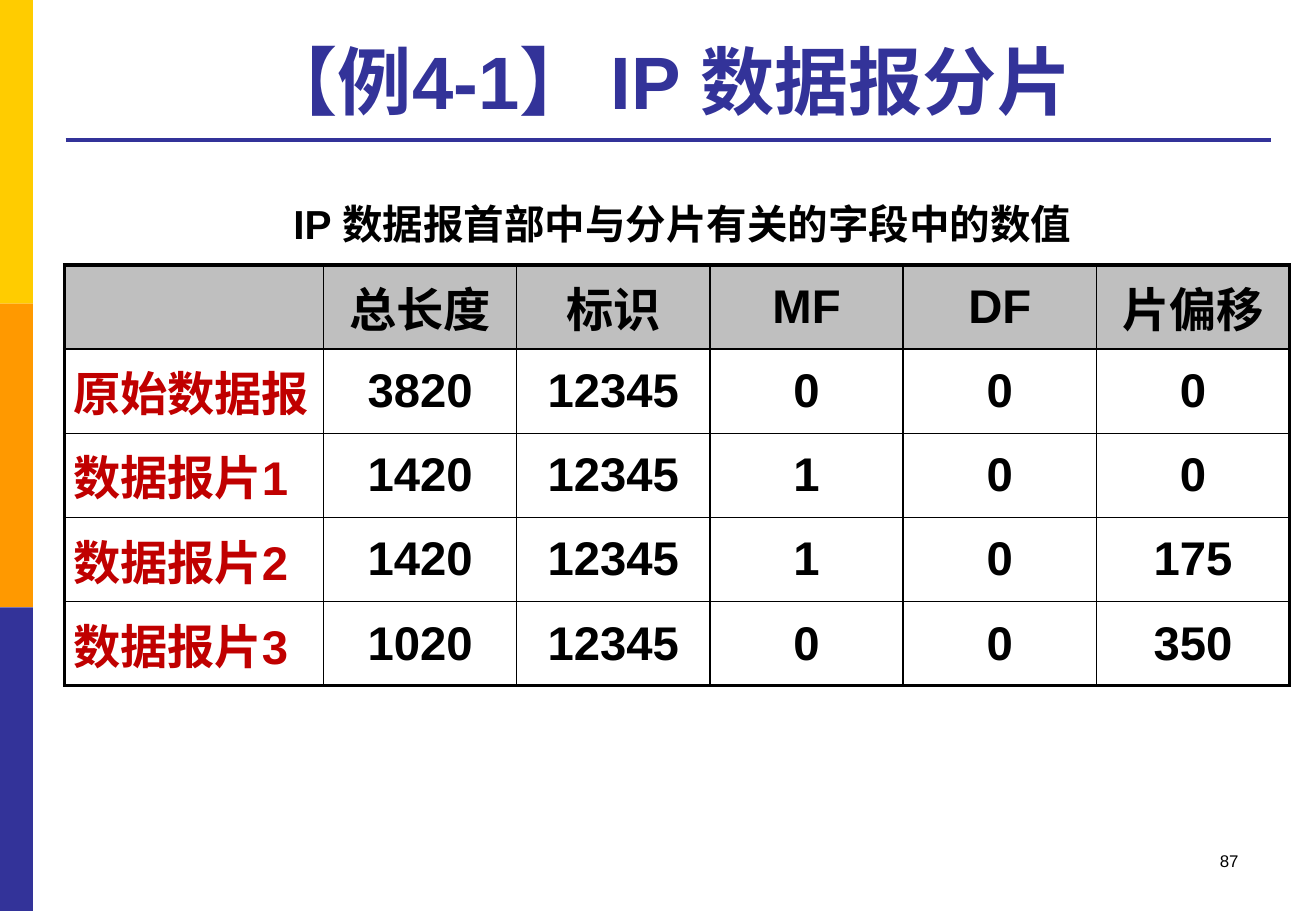
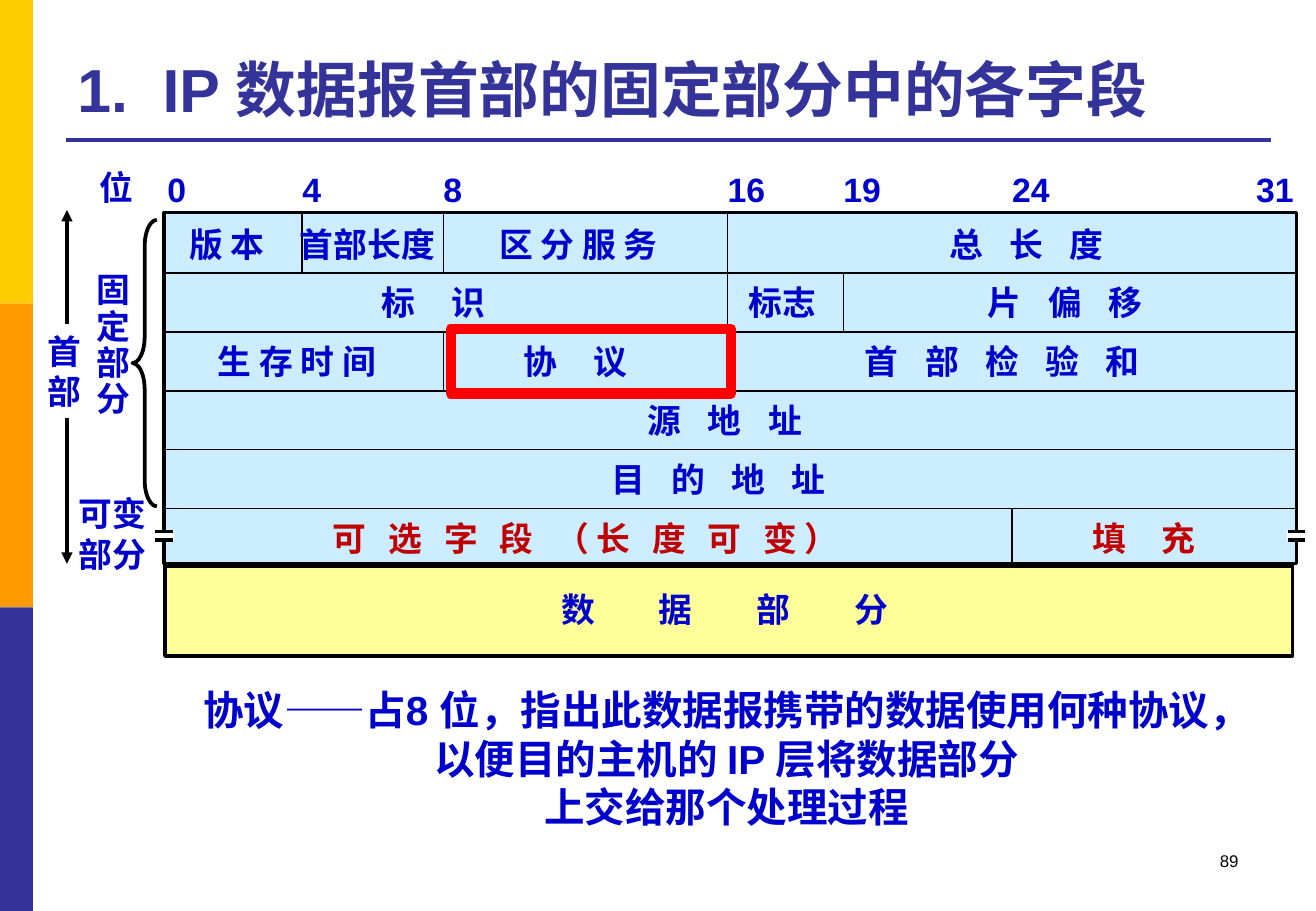
from lxml import etree
from pptx import Presentation
from pptx.dml.color import RGBColor
from pptx.enum.shapes import MSO_CONNECTOR, MSO_SHAPE
from pptx.enum.text import MSO_ANCHOR, PP_ALIGN
from pptx.oxml.ns import qn
from pptx.util import Cm, Pt

RECT, LEFT_BRACE = MSO_SHAPE.RECTANGLE, MSO_SHAPE.LEFT_BRACE
STRAIGHT = MSO_CONNECTOR.STRAIGHT
TOP, MIDDLE, BOTTOM = MSO_ANCHOR.TOP, MSO_ANCHOR.MIDDLE, MSO_ANCHOR.BOTTOM
LEFT, CENTER, RIGHT = PP_ALIGN.LEFT, PP_ALIGN.CENTER, PP_ALIGN.RIGHT

BLACK, WHITE = "000000", "FFFFFF"
INDIGO, BLUE, DARK_RED, RED = "333399", "0000CC", "C00000", "FF0000"
BAND_COLORS = ["FFCC00", "FF9900", INDIGO]
HEADER_GRAY, FIELD_BLUE, DATA_YELLOW = "BFBFBF", "CCECFF", "FFFF99"

FONT = "Arial"
SLIDE_W, SLIDE_H = 27.51, 19.05
LABEL_SIZE = 20
PADDED = (0.25, 0.13)
TIGHT = (0, 0)

# Layout of the datagram header
HEADER_LEFT, HEADER_TOP, HEADER_W, HEADER_H = 3.43, 4.45, 23.67, 7.34
ROW_H = 1.23
BIT_X = {0: 3.5, 4: 6.32, 8: 9.27, 16: 15.21, 19: 17.63, 24: 21.16, 31: 26.26}

# Bit at which a divider stands, first row, number of rows
DIVIDERS = [(4, 0, 1), (8, 0, 1), (8, 2, 1), (16, 0, 3), (19, 1, 1), (24, 5, 1)]

# Text, left edge, row, letter spacing in points, colour
FIELDS = [
    ("版 本", 3.96, 0, 0, BLUE),
    ("首部长度", 6.27, 0, 0, BLUE),
    ("区 分 服 务", 10.44, 0, 0, BLUE),
    ("总 长 度", 19.84, 0, 5.56, BLUE),
    ("标 识", 7.98, 1, 8.34, BLUE),
    ("标志", 15.65, 1, 0, BLUE),
    ("片 偏 移", 20.65, 1, 5.56, BLUE),
    ("生 存 时 间", 4.55, 2, 0, BLUE),
    ("协 议", 10.95, 2, 8.34, BLUE),
    ("首 部 检 验 和", 18.08, 2, 5.56, BLUE),
    ("源 地 址", 13.54, 3, 5.56, BLUE),
    ("目 的 地 址", 12.78, 4, 5.56, BLUE),
    ("可 选 字 段 （长 度 可 变）", 6.96, 5, 4.2, DARK_RED),
    ("填 充", 22.83, 5, 8.34, DARK_RED),
]

FRAGMENTS = [
    ["", "总长度", "标识", "MF", "DF", "片偏移"],
    ["原始数据报", "3820", "12345", "0", "0", "0"],
    ["数据报片1", "1420", "12345", "1", "0", "0"],
    ["数据报片2", "1420", "12345", "1", "0", "175"],
    ["数据报片3", "1020", "12345", "0", "0", "350"],
]


def rgb(hex_color):
    return RGBColor.from_string(hex_color)


def apply_format(target, values):
    for name, value in values.items():
        setattr(target, name, value)


def style_text(frame, size, color, bold=True, align=LEFT, line_spacing=None, spacing=0):
    for paragraph in frame.paragraphs:
        apply_format(paragraph, {"alignment": align, "line_spacing": line_spacing})
        for run in paragraph.runs:
            apply_format(run.font, {"name": FONT, "size": Pt(size), "bold": bold})
            run.font.color.rgb = rgb(color)
            if spacing:
                run._r.get_or_add_rPr().set("spc", str(round(spacing * 100)))


def add_text(slide, box, text, size=LABEL_SIZE, color=BLUE, anchor=TOP, pad=TIGHT, **style):
    frame = slide.shapes.add_textbox(*map(Cm, box)).text_frame
    side, end = map(Cm, pad)
    apply_format(frame, {
        "word_wrap": True, "vertical_anchor": anchor, "text": text,
        "margin_left": side, "margin_right": side,
        "margin_top": end, "margin_bottom": end,
    })
    style_text(frame, size, color, **style)
    return frame


def add_shape(slide, box, fill=None, line=None, weight=1, preset=RECT):
    shape = slide.shapes.add_shape(preset, *map(Cm, box))
    shape.shadow.inherit = False
    if fill:
        shape.fill.solid()
        shape.fill.fore_color.rgb = rgb(fill)
    else:
        shape.fill.background()
    if line:
        shape.line.color.rgb = rgb(line)
        shape.line.width = Pt(weight)
    else:
        shape.line.fill.background()
    return shape


def add_line(slide, start, end, color=BLACK, weight=1, arrows=False):
    connector = slide.shapes.add_connector(STRAIGHT, *map(Cm, (*start, *end)))
    connector.line.color.rgb = rgb(color)
    connector.line.width = Pt(weight)
    properties = connector.element.spPr
    if arrows:
        for tag in ("a:headEnd", "a:tailEnd"):
            etree.SubElement(properties.find(qn("a:ln")), qn(tag), type="triangle")
    etree.SubElement(properties, qn("a:effectLst"))


def add_base_slide(deck, title, number, size, align):
    """Add a slide with the side bands, title, rule and page number."""
    slide = deck.slides.add_slide(deck.slide_layouts[6])
    band_h = SLIDE_H / len(BAND_COLORS)
    for index, color in enumerate(BAND_COLORS):
        add_shape(slide, (0, index * band_h, 0.69, band_h), color)
    add_line(slide, (1.37, 2.92), (26.57, 2.92), INDIGO, 2.25)
    heading = add_text(slide, (1.37, 0.53, 25.17, 2.21), title, size, INDIGO,
                       BOTTOM, PADDED, align=align)
    add_text(slide, (19.71, 17.65, 6.43, 1.27), str(number), 10, BLACK,
             pad=PADDED, bold=False, align=RIGHT)
    return slide, heading


def set_borders(cell, weights):
    """Draw black cell borders; weights maps the sides L, R, T, B to points."""
    properties = cell._tc.get_or_add_tcPr()
    for side, weight in weights.items():
        border = etree.SubElement(properties, qn(f"a:ln{side}"), w=str(Pt(weight)))
        fill = etree.SubElement(border, qn("a:solidFill"))
        etree.SubElement(fill, qn("a:srgbClr"), val=BLACK)


def add_fragment_table(slide):
    widths, row_h = [5.41] + [4.04] * 5, 1.76
    last_row, last_column = len(FRAGMENTS) - 1, len(widths) - 1
    table = slide.shapes.add_table(
        len(FRAGMENTS), len(widths), Cm(1.35), Cm(5.54),
        Cm(sum(widths)), Cm(row_h * len(FRAGMENTS))).table
    apply_format(table, {"first_row": False, "horz_banding": False})
    for column, width in zip(table.columns, widths):
        column.width = Cm(width)
    for r, values in enumerate(FRAGMENTS):
        table.rows[r].height = Cm(row_h)
        for c, value in enumerate(values):
            cell = table.cell(r, c)
            apply_format(cell, {
                "text": value, "vertical_anchor": MIDDLE,
                "margin_left": Cm(0.18), "margin_right": Cm(0.18),
                "margin_top": 0, "margin_bottom": 0,
            })
            row_name = c == 0
            style_text(cell.text_frame, 28, DARK_RED if row_name else BLACK,
                       align=LEFT if row_name else CENTER)
            outer = {"L": c == 0, "R": c == last_column, "T": r == 0, "B": r == last_row}
            set_borders(cell, {side: 2.25 if edge else 1 for side, edge in outer.items()})
            if r == 0:
                cell.fill.solid()
                cell.fill.fore_color.rgb = rgb(HEADER_GRAY)
            else:
                cell.fill.background()


def add_field(slide, text, left, top, height, spacing, color=BLUE):
    """Add a one-line label in a box as wide as its letters need."""
    points = sum(LABEL_SIZE * (0.28 if char == " " else 1) + spacing for char in text)
    add_text(slide, (left, top, points * 2.54 / 72 + 0.2, height), text,
             color=color, anchor=MIDDLE, spacing=spacing)


def add_header_grid(slide):
    add_shape(slide, (HEADER_LEFT, HEADER_TOP, HEADER_W, HEADER_H), FIELD_BLUE, BLACK, 2)
    add_shape(slide, (3.45, 11.84, 23.57, 1.88), DATA_YELLOW, BLACK, 2.25)
    row_y = [HEADER_TOP + 0.03 + ROW_H * row for row in range(6)]
    row_y.append(HEADER_TOP + HEADER_H)
    for y in row_y[1:-1]:
        add_line(slide, (HEADER_LEFT, y), (HEADER_LEFT + HEADER_W, y))
    for bit, row, span in DIVIDERS:
        add_line(slide, (BIT_X[bit], row_y[row]), (BIT_X[bit], row_y[row + span]))
    for bit, x in BIT_X.items():
        add_text(slide, (x, 3.53, 1.2, 0.85), str(bit))
    for text, left, row, spacing, color in FIELDS:
        add_field(slide, text, left, row_y[row], ROW_H, spacing, color)
    add_field(slide, "数 据 部 分", 11.73, 11.84, 1.8, 16.7)


def add_break_mark(slide, left, top):
    """Mark a side of the header as having variable length."""
    add_shape(slide, (left, top, 0.41, 0.2), WHITE)
    for y in (top + 0.02, top + 0.2):
        add_line(slide, (left + 0.02, y), (left + 0.38, y), weight=2)


def add_part_labels(slide):
    add_text(slide, (2.08, 3.48, 1, 0.85), "位")
    add_text(slide, (2.01, 5.72, 1, 3.1), "固\n定\n部\n分", line_spacing=0.9)
    add_text(slide, (1.65, 10.31, 1.6, 1.7), "可变\n部分")
    add_line(slide, (1.4, 4.39), (1.4, 11.79), weight=2.25, arrows=True)
    add_shape(slide, (0.74, 6.78, 1.22, 1.96), WHITE)
    add_text(slide, (0.99, 6.91, 0.9, 1.7), "首\n部")
    brace = add_shape(slide, (2.77, 4.6, 0.51, 5.99), None, BLACK, 2.25, LEFT_BRACE)
    brace.adjustments[0] = 1.08


def build_fragment_slide(deck):
    slide, _ = add_base_slide(deck, "【例4-1】 IP 数据报分片", 87, 44, CENTER)
    add_text(slide, (3.76, 4.04, 21.01, 1.27), "IP 数据报首部中与分片有关的字段中的数值",
             24, BLACK, pad=PADDED, align=CENTER)
    add_fragment_table(slide)


def build_header_slide(deck):
    slide, heading = add_base_slide(
        deck, "1.\tIP 数据报首部的固定部分中的各字段", 89, 36, LEFT)
    hanging = Cm(1.78)
    paragraph_properties = heading.paragraphs[0]._p.get_or_add_pPr()
    for name, value in {"marL": hanging, "indent": -hanging}.items():
        paragraph_properties.set(name, str(value))
    add_header_grid(slide)
    for left in (3.23, 26.9):
        add_break_mark(slide, left, 11.09)
    add_part_labels(slide)
    add_text(slide, (3.71, 14.2, 22.96, 3.33),
             "协议——占8 位，指出此数据报携带的数据使用何种协议，\n"
             "以便目的主机的 IP 层将数据部分\n上交给那个处理过程",
             24, pad=PADDED, align=CENTER)
    add_shape(slide, (9.42, 6.88, 5.87, 1.35), None, RED, 6)


def main():
    deck = Presentation()
    deck.slide_width, deck.slide_height = Cm(SLIDE_W), Cm(SLIDE_H)
    build_fragment_slide(deck)
    build_header_slide(deck)
    deck.save("out.pptx")


if __name__ == "__main__":
    main()
